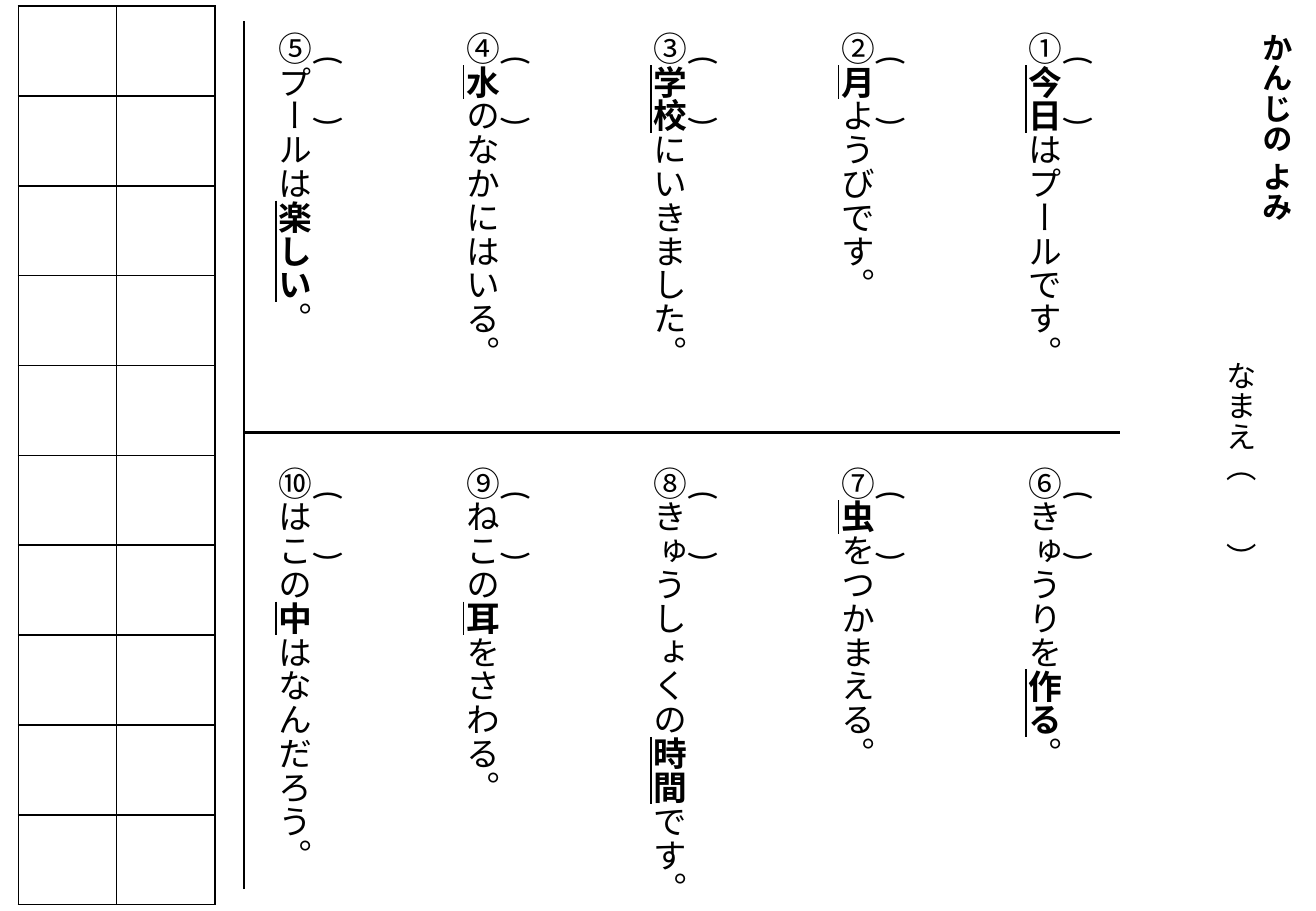
from lxml import etree
from pptx import Presentation
from pptx.dml.color import RGBColor
from pptx.enum.shapes import MSO_CONNECTOR as Connector
from pptx.oxml.ns import qn
from pptx.util import Inches, Pt

FONT = "Calibri"
BLACK, WHITE = "000000", "FFFFFF"
LINE_PITCH = 21.6
QUESTION_PITCH = 111.1

# Each sentence: before the kanji, underlined kanji, after it
UPPER_QUESTIONS = [
    ("①", "今日", "はプールです。"),
    ("②", "月", "ようびです。"),
    ("③", "学校", "にいきました。"),
    ("④", "水", "のなかにはいる。"),
    ("⑤プールは", "楽しい", "。"),
]
LOWER_QUESTIONS = [
    ("⑥きゅうりを", "作る", "。"),
    ("⑦", "虫", "をつかまえる。"),
    ("⑧きゅうしょくの", "時間", "です。"),
    ("⑨ねこの", "耳", "をさわる。"),
    ("⑩はこの", "中", "はなんだろう。"),
]


def color(value):
    return RGBColor.from_string(value)


def add_vertical_text(slide, left, top, width, height):
    shape = slide.shapes.add_textbox(Inches(left), Inches(top), Inches(width), Inches(height))
    frame = shape.text_frame
    frame.margin_left = frame.margin_right = frame.margin_top = frame.margin_bottom = 0
    frame.word_wrap = True
    frame._txBody.bodyPr.set("vert", "eaVert")
    return frame


def style_paragraph(paragraph, size, before=0):
    paragraph.font.name = FONT
    paragraph.font.size = Pt(size)
    paragraph.font.color.rgb = color(BLACK)
    paragraph.line_spacing = Pt(LINE_PITCH)
    paragraph.space_before = Pt(before)


def set_indent_and_tab(paragraph, indent, tab):
    properties = paragraph._p.get_or_add_pPr()
    properties.set("marL", str(Inches(indent)))
    properties.set("indent", "0")
    tabs = etree.SubElement(properties, qn("a:tabLst"))
    etree.SubElement(tabs, qn("a:tab"), pos=str(Inches(tab)), algn="l")


def add_heading(slide, left, top, width, height):
    frame = add_vertical_text(slide, left, top, width, height)
    title = frame.paragraphs[0]
    title.text = "かんじの よみ"
    style_paragraph(title, 18)
    title.font.bold = True
    name = frame.add_paragraph()
    name.text = "なまえ（\t）"
    style_paragraph(name, 18)
    set_indent_and_tab(name, 2.7, 6.6)


def add_questions(slide, left, top, width, height, questions, closings):
    frame = add_vertical_text(slide, left, top, width, height)
    for index, (parts, closing) in enumerate(zip(questions, closings)):
        # Answer brackets
        answer = frame.add_paragraph() if index else frame.paragraphs[0]
        answer.text = "(\t)"
        style_paragraph(answer, 20, QUESTION_PITCH - 2 * LINE_PITCH if index else 0)
        set_indent_and_tab(answer, 0.2, closing)
        # Sentence with its kanji marked
        sentence = frame.add_paragraph()
        style_paragraph(sentence, 20)
        for part in parts:
            run = sentence.add_run()
            run.text = part
            if part == parts[1]:
                run.font.bold = run.font.underline = True


def add_rule(slide, x1, y1, x2, y2):
    line = slide.shapes.add_connector(
        Connector.STRAIGHT, Inches(x1), Inches(y1), Inches(x2), Inches(y2))
    line.line.color.rgb = color(BLACK)
    line.line.width = Pt(1.5)
    etree.SubElement(line._element.spPr, qn("a:effectLst"))


def add_practice_grid(slide, left, top, width, height, rows=10, columns=2):
    table = slide.shapes.add_table(
        rows, columns, Inches(left), Inches(top), Inches(width), Inches(height)).table
    for cell in table.iter_cells():
        properties = cell._tc.get_or_add_tcPr()
        for side in ("lnL", "lnR", "lnT", "lnB"):
            border = etree.SubElement(properties, qn(f"a:{side}"), w=str(Pt(1)))
            fill = etree.SubElement(border, qn("a:solidFill"))
            etree.SubElement(fill, qn("a:srgbClr"), val=BLACK)
        cell.fill.solid()
        cell.fill.fore_color.rgb = color(WHITE)


def main():
    presentation = Presentation()
    presentation.slide_width, presentation.slide_height = Inches(10.83), Inches(7.5)
    slide = presentation.slides.add_slide(presentation.slide_layouts[6])

    add_heading(slide, 9.9, 0.27, 0.76, 7.05)
    add_questions(slide, 2.03, 0.26, 7, 3.02, UPPER_QUESTIONS, [2.92] * 5)
    add_questions(slide, 2.03, 3.84, 7, 3.65, LOWER_QUESTIONS, [2.92] * 4 + [2.86])

    # Dividing lines
    add_rule(slide, 2.01, 3.56, 9.22, 3.56)
    add_rule(slide, 2.01, 7.32, 2.01, 0.17)

    add_practice_grid(slide, 0.15, 0.05, 1.62, 7.4)
    presentation.save("out.pptx")


if __name__ == "__main__":
    main()
